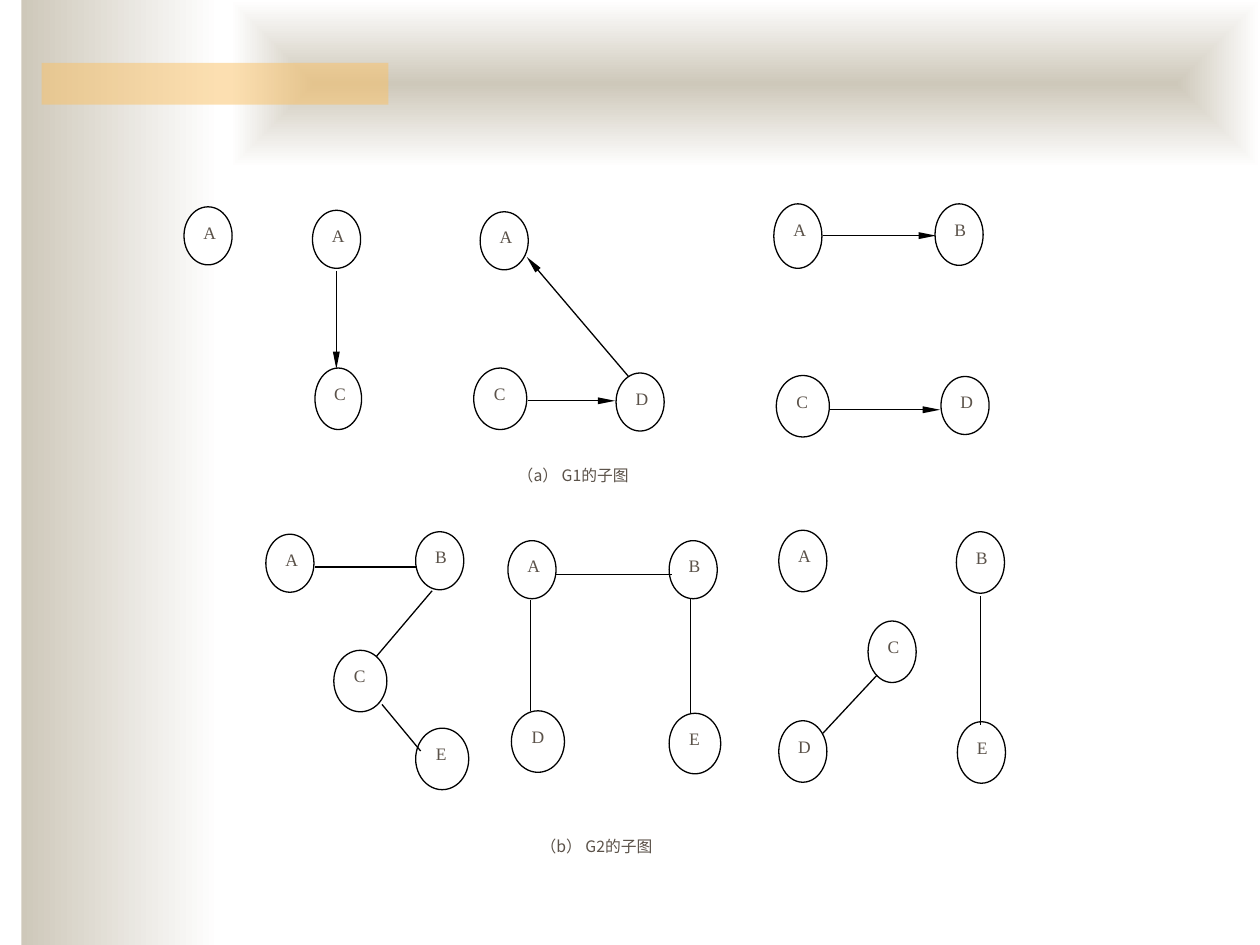
from lxml.etree import SubElement
from pptx import Presentation
from pptx.dml.color import RGBColor
from pptx.enum.shapes import MSO_CONNECTOR, MSO_SHAPE
from pptx.enum.text import MSO_ANCHOR, PP_ALIGN
from pptx.oxml.ns import qn
from pptx.util import Cm, Pt

WHITE = RGBColor(0xFF, 0xFF, 0xFF)
BLACK = RGBColor(0x00, 0x00, 0x00)
SAND = RGBColor(0xCE, 0xC8, 0xBA)
AMBER = RGBColor(0xFA, 0xC1, 0x64)
BROWN = RGBColor(0x5B, 0x52, 0x49)

SMALL = (0.97, 1.17)
TALL = (0.97, 1.24)
WIDE = (1.07, 1.24)

G1_NODES = [
    ("A", 3.71, 4.17, SMALL),
    ("A", 6.3, 4.24, SMALL), ("C", 6.35, 7.42, (0.94, 1.24)),
    ("A", 9.68, 4.27, SMALL), ("C", 9.55, 7.42, WIDE), ("D", 12.42, 7.52, SMALL),
    ("A", 15.6, 4.11, (0.97, 1.3)), ("B", 18.85, 4.11, TALL),
    ("C", 15.65, 7.57, WIDE), ("D", 18.97, 7.59, SMALL),
]
G1_ARROWS = [
    (6.78, 5.46, 6.78, 7.44),
    (10.64, 8.08, 12.4, 8.08), (12.67, 7.59, 10.62, 5.18),
    (16.59, 4.75, 18.87, 4.75), (16.71, 8.26, 18.95, 8.26),
]
G2_NODES = [
    ("A", 5.36, 10.77, SMALL), ("B", 8.38, 10.72, SMALL),
    ("C", 6.73, 13.11, WIDE), ("E", 8.38, 14.68, WIDE),
    ("A", 10.24, 10.9, SMALL), ("B", 13.49, 10.9, SMALL),
    ("D", 10.31, 14.33, WIDE), ("E", 13.49, 14.38, (1.04, 1.22)),
    ("A", 15.7, 10.69, TALL), ("B", 19.28, 10.72, TALL),
    ("C", 17.5, 12.52, TALL), ("D", 15.7, 14.53, TALL), ("E", 19.3, 14.55, TALL),
]
G2_EDGES = [
    (6.35, 11.43, 8.41, 11.43), (8.71, 11.91, 7.59, 13.23), (7.7, 14.2, 8.48, 15.14),
    (11.2, 11.58, 13.54, 11.58), (10.69, 12.09, 10.69, 14.33), (13.92, 12.07, 13.92, 14.38),
    (16.59, 14.78, 17.68, 13.61), (19.76, 12.01, 19.76, 14.61),
]


class GraphSlide:
    line_width = Pt(0.75)
    node_font = ("Times New Roman", Pt(10))
    caption_font = ("Noto Sans CJK SC", Pt(9))

    def __init__(self, slide):
        self.slide = slide

    def shape(self, kind, left, top, width, height):
        shape = self.slide.shapes.add_shape(kind, Cm(left), Cm(top), Cm(width), Cm(height))
        shape.shadow.inherit = False
        shape.line.fill.background()
        return shape

    def panel(self, left, top, width, height, color, alpha):
        shape = self.shape(MSO_SHAPE.RECTANGLE, left, top, width, height)
        shape.fill.solid()
        shape.fill.fore_color.rgb = color
        color_element = shape._element.spPr.find(qn("a:solidFill"))[0]
        SubElement(color_element, qn("a:alpha"), val=str(alpha * 1000))

    def gradient_panel(self, left, top, width, height, from_center=False):
        shape = self.shape(MSO_SHAPE.RECTANGLE, left, top, width, height)
        shape.fill.gradient()
        shape.fill.gradient_angle = 0
        for stop, color, position in zip(shape.fill.gradient_stops, (SAND, WHITE), (0, 1)):
            stop.color.rgb = color
            stop.position = position
        if from_center:
            gradient = shape._element.spPr.find(qn("a:gradFill"))
            gradient.remove(gradient.find(qn("a:lin")))
            shade = SubElement(gradient, qn("a:path"), {"path": "rect"})
            SubElement(shade, qn("a:fillToRect"), l="50000", t="50000", r="50000", b="50000")

    def label(self, shape, text, font, alignment):
        shape.fill.solid()
        shape.fill.fore_color.rgb = WHITE
        frame = shape.text_frame
        frame.word_wrap = True
        frame.vertical_anchor = MSO_ANCHOR.TOP
        paragraph = frame.paragraphs[0]
        paragraph.text = text
        paragraph.alignment = alignment
        paragraph.font.name, paragraph.font.size = font
        paragraph.font.color.rgb = BROWN
        SubElement(paragraph.font._element, qn("a:ea"), typeface=font[0])

    def node(self, text, left, top, size):
        shape = self.shape(MSO_SHAPE.OVAL, left, top, *size)
        self.label(shape, text, self.node_font, PP_ALIGN.JUSTIFY)
        shape.line.color.rgb = BLACK
        shape.line.width = self.line_width

    def caption(self, text, left, top, width, height):
        shape = self.shape(MSO_SHAPE.RECTANGLE, left, top, width, height)
        self.label(shape, text, self.caption_font, PP_ALIGN.CENTER)

    def edge(self, x1, y1, x2, y2, arrow=False):
        connector = self.slide.shapes.add_connector(
            MSO_CONNECTOR.STRAIGHT, Cm(x1), Cm(y1), Cm(x2), Cm(y2))
        connector.line.color.rgb = BLACK
        connector.line.width = self.line_width
        properties = connector._element.spPr
        if arrow:
            SubElement(properties.find(qn("a:ln")), qn("a:tailEnd"),
                       type="triangle", w="sm", len="lg")
        SubElement(properties, qn("a:effectLst"))

    def graph(self, nodes, edges, directed):
        for node in nodes:
            self.node(*node)
        for edge in edges:
            self.edge(*edge, arrow=directed)


def main():
    presentation = Presentation()
    presentation.slide_width, presentation.slide_height = Cm(25.4), Cm(19.05)
    page = GraphSlide(presentation.slides.add_slide(presentation.slide_layouts[6]))

    page.gradient_panel(0.43, 0, 4.01, 19.05)
    page.gradient_panel(4.65, 0, 20.75, 3.38, from_center=True)
    page.panel(0.84, 1.27, 6.99, 0.84, AMBER, alpha=50)

    page.graph(G1_NODES, G1_ARROWS, directed=True)
    page.caption("（a） G1的子图", 9.22, 9.27, 4.67, 1.32)
    page.graph(G2_NODES, G2_EDGES, directed=False)
    page.caption("（b） G2的子图", 10.31, 16.74, 3.43, 0.89)

    presentation.save("out.pptx")


if __name__ == "__main__":
    main()
